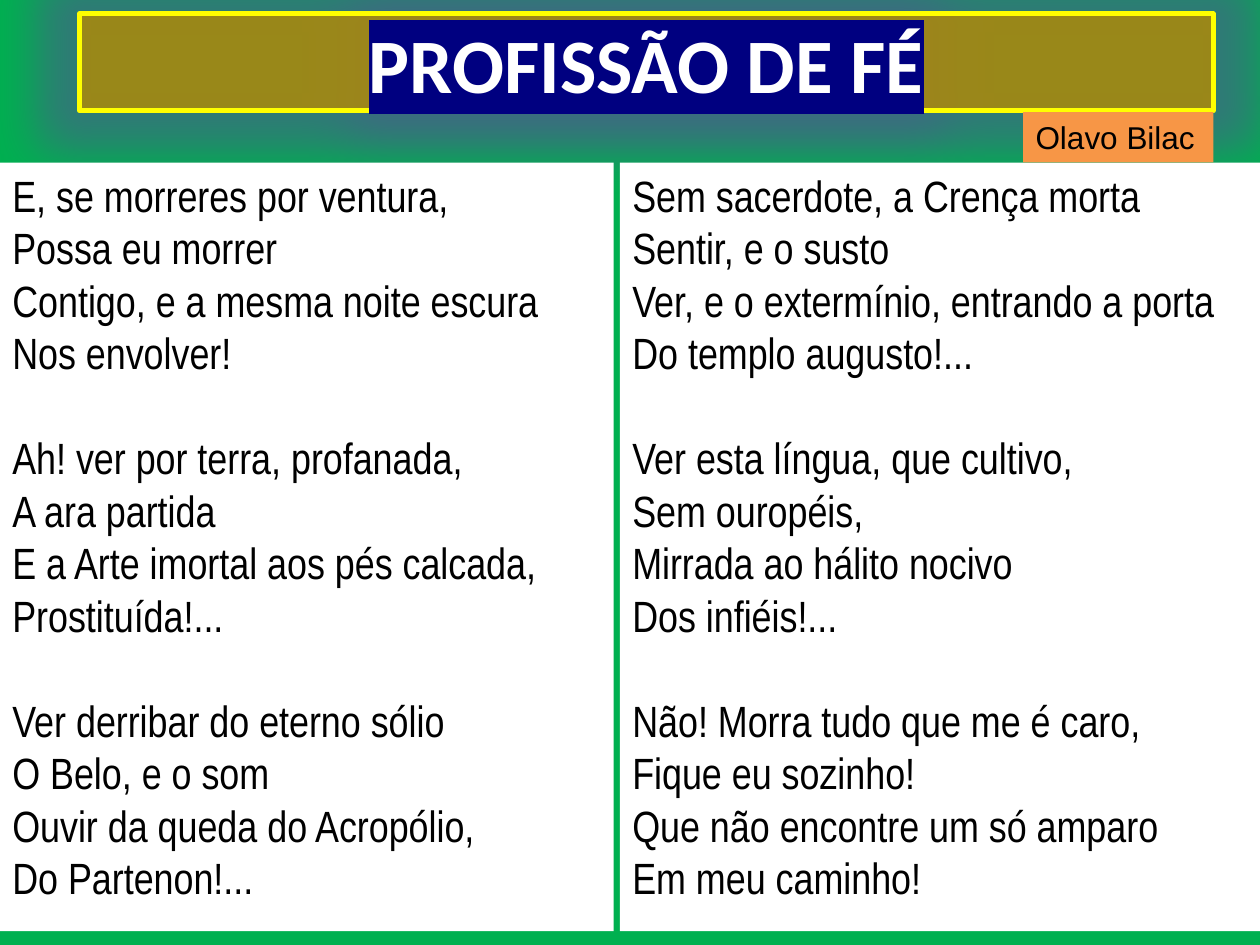
from lxml import etree
from pptx import Presentation
from pptx.dml.color import RGBColor
from pptx.enum import shapes, text
from pptx.oxml import ns
from pptx import util as u

LEFT_STANZAS = [
    ["E, se morreres por ventura,", "Possa eu morrer",
     "Contigo, e a mesma noite escura", "Nos envolver!"],
    ["Ah! ver por terra, profanada,", "A ara partida",
     "E a Arte imortal aos pés calcada,", "Prostituída!..."],
    ["Ver derribar do eterno sólio", "O Belo, e o som",
     "Ouvir da queda do Acropólio,", "Do Partenon!..."],
]
RIGHT_STANZAS = [
    ["Sem sacerdote, a Crença morta", "Sentir, e o susto",
     "Ver, e o extermínio, entrando a porta", "Do templo augusto!..."],
    ["Ver esta língua, que cultivo,", "Sem ouropéis,",
     "Mirrada ao hálito nocivo", "Dos infiéis!..."],
    ["Não! Morra tudo que me é caro,", "Fique eu sozinho!",
     "Que não encontre um só amparo", "Em meu caminho!"],
]


def color(code):
    return RGBColor.from_string(code)


def add_element(parent, tag, **attributes):
    return etree.SubElement(parent, ns.qn(tag), attributes)


class PoemPage:
    columns, rows = 100, 75
    verse_font, verse_size, stanza_gap = "Arial Narrow", 25, 30

    def __init__(self, deck, background):
        self.width, self.height = deck.slide_width, deck.slide_height
        self.page = deck.slides.add_slide(deck.slide_layouts[6])
        fill = self.page.background.fill
        fill.solid()
        fill.fore_color.rgb = color(background)

    def panel(self, left, top, width, height, fill):
        across, down = self.width / self.columns, self.height / self.rows
        box = self.page.shapes.add_shape(
            shapes.MSO_SHAPE.RECTANGLE, int(left * across), int(top * down),
            int(width * across), int(height * down))
        box.shadow.inherit = False
        box.fill.solid()
        box.fill.fore_color.rgb = color(fill)
        box.line.fill.background()
        box.text_frame.word_wrap = True
        box.text_frame.vertical_anchor = text.MSO_ANCHOR.TOP
        return box

    def line_of_text(self, para, words, font, size, ink="000000",
                     align=text.PP_ALIGN.LEFT, bold=False):
        span = para.add_run()
        span.text = words
        para.alignment = align
        para.font.name = font
        para.font.size = u.Pt(size)
        para.font.bold = bold
        para.font.color.rgb = color(ink)
        return span

    def title(self, words, left, top, width, height):
        box = self.panel(left, top, width, height, "B88C00")
        box.line.color.rgb = color("FFFF00")
        box.line.width = u.Pt(2.75)
        properties = box._element.spPr
        fill = properties.find(ns.qn("a:solidFill"))
        add_element(fill[0], "a:alpha", val="78000")
        effects = properties.find(ns.qn("a:effectLst"))
        shadow = add_element(effects, "a:outerShdw", blurRad=str(u.Inches(0.4)),
                             sx="107000", sy="170000", algn="ctr", rotWithShape="0")
        add_element(shadow, "a:srgbClr", val="3D6B81")
        box.text_frame.vertical_anchor = text.MSO_ANCHOR.MIDDLE
        span = self.line_of_text(box.text_frame.paragraphs[0], words, "Calibri", 44,
                                 "FFFFFF", text.PP_ALIGN.CENTER, True)
        highlight = add_element(span.font._element, "a:highlight")
        add_element(highlight, "a:srgbClr", val="000080")

    def author(self, words, left, top, width, height):
        box = self.panel(left, top, width, height, "F79646")
        self.line_of_text(box.text_frame.paragraphs[0], words, "Arial", 18)

    def poem(self, stanzas, left, top, width, height):
        frame = self.panel(left, top, width, height, "FFFFFF").text_frame
        for number, stanza in enumerate(stanzas):
            for row, verse in enumerate(stanza):
                first = number == row == 0
                para = frame.paragraphs[0] if first else frame.add_paragraph()
                if number and not row:
                    para.space_before = u.Pt(self.stanza_gap)
                self.line_of_text(para, verse, self.verse_font, self.verse_size)


def main():
    deck = Presentation()
    deck.slide_width, deck.slide_height = u.Inches(10), u.Inches(7.5)
    page = PoemPage(deck, "00B050")
    page.title("PROFISSÃO DE FÉ", 6.3, 1.1, 90, 7.7)
    page.poem(LEFT_STANZAS, 0, 12.9, 48.7, 61)
    page.poem(RIGHT_STANZAS, 49.2, 12.9, 50.8, 61)
    page.author("Olavo Bilac", 81.2, 8.9, 15.1, 4)
    deck.save("out.pptx")


if __name__ == "__main__":
    main()
